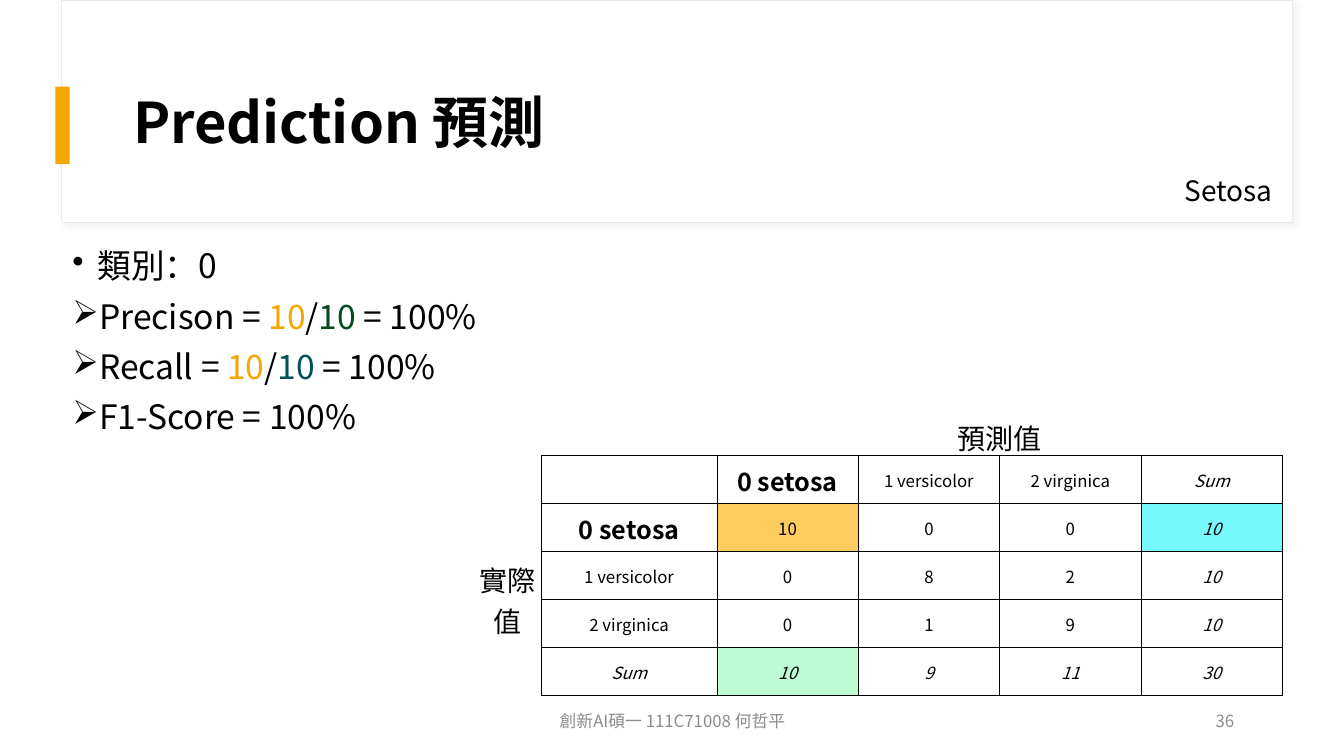
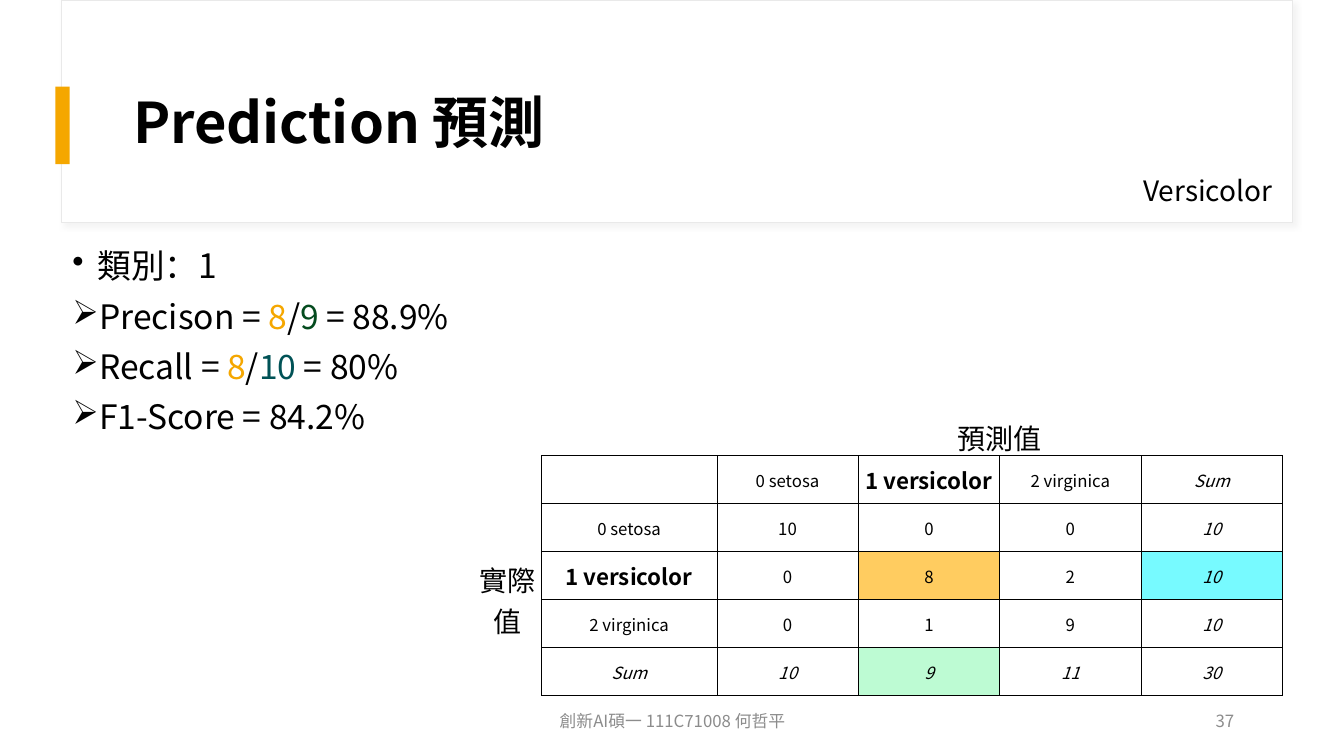
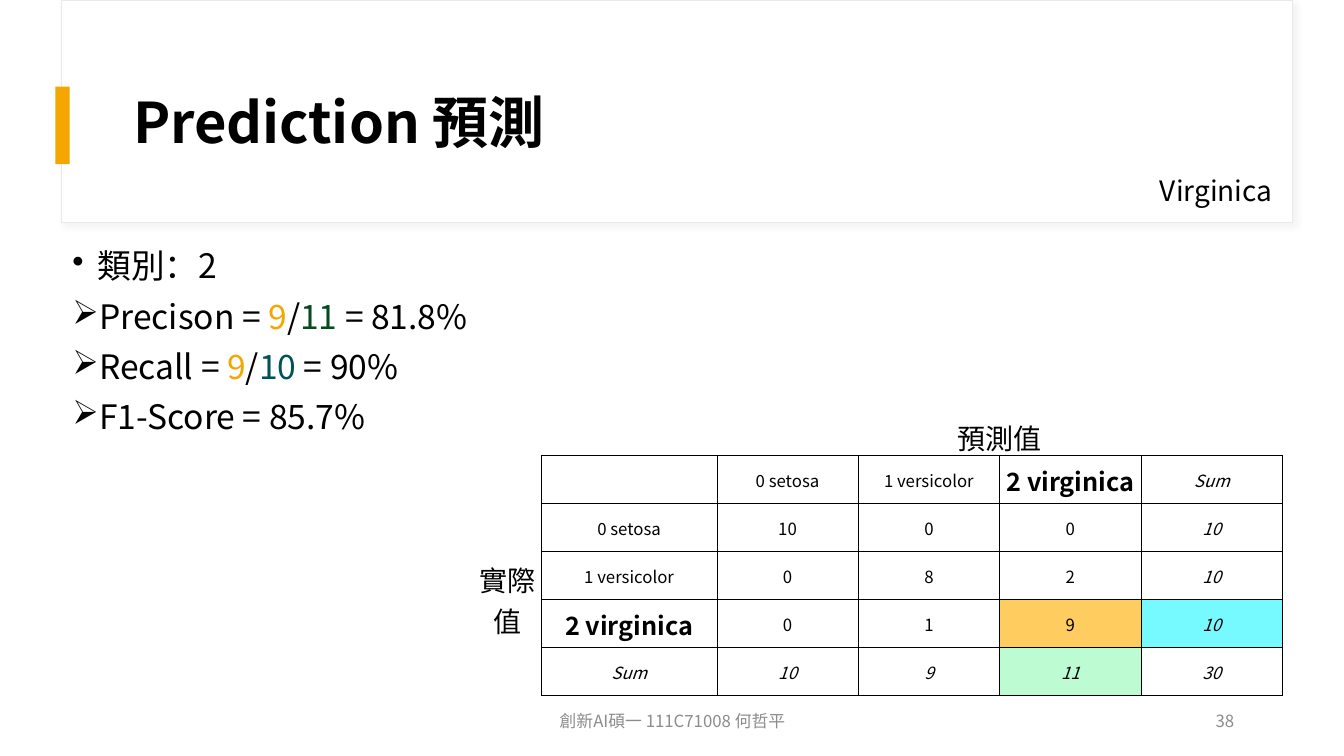
from dataclasses import dataclass

from lxml import etree
from pptx import Presentation
from pptx import util as u
from pptx.dml.color import RGBColor
from pptx.enum import shapes, text
from pptx.oxml.ns import qn


@dataclass(frozen=True)
class Theme:
    font: str = "Noto Sans CJK SC"
    ink: str = "000000"
    paper: str = "FFFFFF"
    frame: str = "E9E9E9"
    shade: str = "D9D9D9"
    muted: str = "8C8C8C"
    accent: str = "F5A700"
    predicted: str = "044B1E"
    actual: str = "005256"
    hit_fill: str = "FFCC60"
    predicted_fill: str = "BDFBD3"
    actual_fill: str = "77FAFF"
    title: int = 40
    body: int = 24
    label: int = 20
    small: int = 12


T = Theme()
NO_STYLE = "{2D5ABB26-0587-4C30-8999-92F81FD0307C}"
LEFT, CENTER, RIGHT = text.PP_ALIGN.LEFT, text.PP_ALIGN.CENTER, text.PP_ALIGN.RIGHT
MIDDLE = text.MSO_ANCHOR.MIDDLE

# Iris classes: name, size of the highlighted label
CLASSES = [("setosa", 18), ("versicolor", 16), ("virginica", 18)]
COUNTS = [[10, 0, 0], [0, 8, 2], [0, 1, 9]]
ROW_SUMS = [sum(row) for row in COUNTS]
COL_SUMS = [sum(col) for col in zip(*COUNTS)]
FIRST_PAGE = 36


def box(*lengths):
    return [u.Inches(n) for n in lengths]


def xml(parent, tag, **attrs):
    return etree.SubElement(parent, qn(tag), attrs)


def style(p, size, color=T.ink, align=LEFT, bold=False, italic=False):
    """Format a whole paragraph, Latin and East Asian text alike."""
    p.alignment = align
    f = p.font
    f.name, f.size, f.bold, f.italic = T.font, u.Pt(size), bold, italic
    f.color.rgb = RGBColor.from_string(color)
    latin = p._p.pPr.find(qn("a:defRPr")).find(qn("a:latin"))
    ea = etree.Element(qn("a:ea"), typeface=T.font)
    latin.addnext(ea)


def add_text(s, at, words, size, color=T.ink, align=LEFT, anchor=None):
    sp = s.shapes.add_textbox(*box(*at))
    tf = sp.text_frame
    tf.word_wrap = True
    tf.vertical_anchor = anchor
    tf.paragraphs[0].text = words
    style(tf.paragraphs[0], size, color, align)
    return sp


def add_rect(s, at, fill, line=None):
    sp = s.shapes.add_shape(shapes.MSO_SHAPE.RECTANGLE, *box(*at))
    sp.shadow.inherit = False
    sp.fill.solid()
    sp.fill.fore_color.rgb = RGBColor.from_string(fill)
    if line:
        sp.line.color.rgb = RGBColor.from_string(line)
        sp.line.width = u.Pt(0.75)
    else:
        sp.line.fill.background()
    return sp


def add_shadow(sp):
    effects = sp.element.spPr.find(qn("a:effectLst"))
    shadow = xml(effects, "a:outerShdw", blurRad=str(u.Pt(4)), dist=str(u.Pt(3)),
                 dir=str(45 * 60000), algn="tl", rotWithShape="0")
    xml(xml(shadow, "a:srgbClr", val=T.shade), "a:alpha", val="30000")


def share_frame(s, layout):
    """Draw the title card and footer once and hand them to the layout."""
    card = add_rect(s, (0.61, 0, 12.21, 2.21), T.paper, T.frame)
    add_shadow(card)
    parts = [
        card,
        add_rect(s, (0.55, 0.86, 0.14, 0.77), T.accent),
        add_text(s, (4.42, 6.95, 4.5, 0.4), "創新AI碩一 111C71008 何哲平",
                 T.small, T.muted, CENTER, MIDDLE),
    ]
    for i, sp in enumerate(parts):
        layout.shapes.element.insert(2 + i, sp.element)


def set_title(s, words):
    sp = s.shapes.title
    sp.left, sp.top, sp.width, sp.height = box(1.22, 0.6, 11.12, 1.29)
    tf = sp.text_frame
    tf.text = words
    tf.vertical_anchor = MIDDLE
    p = tf.paragraphs[0]
    p.line_spacing = 0.9
    style(p, T.title, bold=True)


def add_bullets(s, at, items):
    """Each item is a bullet sign and a list of (text, colour) runs."""
    sp = s.shapes.add_textbox(*box(*at))
    tf = sp.text_frame
    tf.word_wrap = True
    for i, (sign, runs) in enumerate(items):
        p = tf.add_paragraph() if i else tf.paragraphs[0]
        p.line_spacing = 0.9
        p.space_before = u.Pt(10 if i else 0)
        pPr = p._p.get_or_add_pPr()
        pPr.set("marL", str(u.Inches(0.25)))
        pPr.set("indent", str(u.Inches(-0.25)))
        xml(pPr, "a:buChar", char=sign)
        style(p, T.body)
        for words, color in runs:
            r = p.add_run()
            r.text = words
            if color != T.ink:
                r.font.color.rgb = RGBColor.from_string(color)


def percent(part, whole):
    return f"{round(100 * part / whole, 1):g}%"


def add_scores(s, k):
    hit, predicted, actual = COUNTS[k][k], COL_SUMS[k], ROW_SUMS[k]

    def ratio(name, whole, color):
        return [(f"{name} = ", T.ink), (str(hit), T.accent), ("/", T.ink),
                (str(whole), color), (f" = {percent(hit, whole)}", T.ink)]

    f1 = percent(2 * hit, predicted + actual)
    add_bullets(s, (0.62, 2.43, 11.12, 4.04), [
        ("•", [(f"類別：{k}", T.ink)]),
        ("➢", ratio("Precison", predicted, T.predicted)),
        ("➢", ratio("Recall", actual, T.actual)),
        ("➢", [(f"F1-Score = {f1}", T.ink)]),
    ])


def set_borders(cell, sides):
    tcPr = cell._tc.get_or_add_tcPr()
    for i, side in enumerate(sides):
        ln = etree.Element(qn(f"a:ln{side}"), w=str(u.Pt(0.5)))
        xml(xml(ln, "a:solidFill"), "a:srgbClr", val=T.ink)
        tcPr.insert(i, ln)


def fill_cell(cell, words, size=T.small, bold=False, italic=False, fill=None):
    cell.margin_left = cell.margin_right = cell.margin_top = u.Inches(0.01)
    cell.margin_bottom = 0
    cell.vertical_anchor = MIDDLE
    cell.text = words
    style(cell.text_frame.paragraphs[0], size, align=CENTER, bold=bold, italic=italic)
    if fill:
        cell.fill.solid()
        cell.fill.fore_color.rgb = RGBColor.from_string(fill)
    else:
        cell.fill.background()


def add_matrix(s, k):
    """Confusion matrix with sums; class k is highlighted."""
    names = [f"{i} {name}" for i, (name, _) in enumerate(CLASSES)] + ["Sum"]
    body = [row + [total] for row, total in zip(COUNTS, ROW_SUMS)]
    body.append(COL_SUMS + [sum(COL_SUMS)])
    grid = [["", "", "預測值", "", "", ""], ["", ""] + names]
    grid += [["", name] + [str(n) for n in row] for name, row in zip(names, body)]
    grid[2][0] = "實際值"

    width, height, side, head, top = 8.03, 2.77, 0.68, 1.74, 0.39
    cols = [side, head] + [(width - side - head) / 4] * 4
    rows = [top] + [(height - top) / 5] * 5
    frame = s.shapes.add_table(len(rows), len(cols), *box(4.69, 4.13, width, height))
    table = frame.table
    table.first_row = table.horz_banding = False
    table._tbl.tblPr.find(qn("a:tableStyleId")).text = NO_STYLE
    for col, w in zip(table.columns, cols):
        col.width = u.Inches(w)
    for row, h in zip(table.rows, rows):
        row.height = u.Inches(h)

    mark, total = k + 2, 5
    fills = {(mark, mark): T.hit_fill, (mark, total): T.actual_fill,
             (total, mark): T.predicted_fill}
    for r, line in enumerate(grid):
        for c, words in enumerate(line):
            cell = table.cell(r, c)
            if r == 0 or c == 0:
                fill_cell(cell, words, T.label if words else T.small)
                set_borders(cell, "B" * (r == 0 < c) + "R" * (c == 0 < r))
                continue
            chosen = (r, c) in ((1, mark), (mark, 1))
            fill_cell(cell, words, CLASSES[k][1] if chosen else T.small, chosen,
                      total in (r, c), fills.get((r, c)))
            set_borders(cell, "LRTB")

    # Axis labels
    table.cell(0, 2).merge(table.cell(0, total))
    table.cell(2, 0).merge(table.cell(total, 0))
    table.cell(2, 0)._tc.tcPr.set("vert", "eaVert")


def main():
    prs = Presentation()
    prs.slide_width, prs.slide_height = box(13.33, 7.5)
    layout = prs.slide_layouts[5]
    for k, (name, _) in enumerate(CLASSES):
        s = prs.slides.add_slide(layout)
        if k == 0:
            share_frame(s, layout)
        set_title(s, "Prediction 預測")
        add_scores(s, k)
        add_text(s, (10.76, 1.67, 1.96, 0.44), name.capitalize(), T.label, align=RIGHT)
        add_text(s, (9.34, 6.95, 3, 0.4), str(FIRST_PAGE + k), T.small, T.muted,
                 RIGHT, MIDDLE)
        add_matrix(s, k)
    prs.save("out.pptx")


if __name__ == "__main__":
    main()
